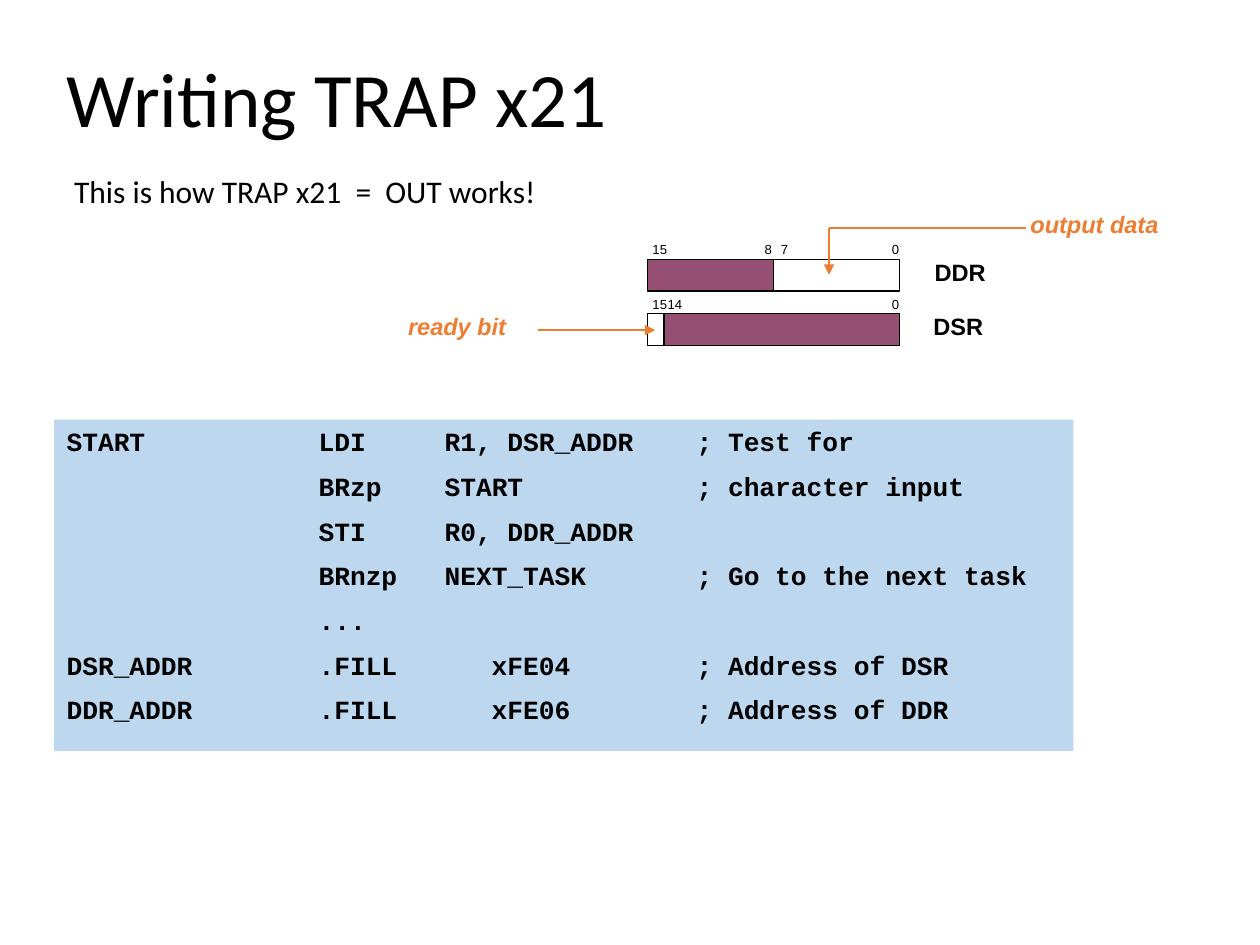
from lxml.etree import SubElement
from pptx import Presentation
from pptx.dml.color import RGBColor
from pptx.enum.shapes import MSO_CONNECTOR, MSO_SHAPE
from pptx.enum.text import MSO_ANCHOR, MSO_AUTO_SIZE, PP_ALIGN
from pptx.oxml.ns import qn
from pptx.util import Inches, Pt

BLACK = RGBColor(0x00, 0x00, 0x00)
WHITE = RGBColor(0xFF, 0xFF, 0xFF)
PURPLE = RGBColor(0x95, 0x4F, 0x72)
ORANGE = RGBColor(0xED, 0x7D, 0x31)
PALE_BLUE = RGBColor(0xBD, 0xD7, 0xEE)

# Register grid
REGISTER_LEFT = 5.14
REGISTER_HEIGHT = 0.25
DDR_TOP = 2.06
DSR_TOP = 2.49

CODE = """START\t\tLDI\tR1, DSR_ADDR\t; Test for
\t\tBRzp\tSTART\t\t; character input
\t\tSTI\tR0, DDR_ADDR
\t\tBRnzp\tNEXT_TASK\t; Go to the next task
\t\t...
DSR_ADDR\t.FILL      xFE04\t; Address of DSR
DDR_ADDR\t.FILL      xFE06\t; Address of DDR"""


def format_text(frame, size, name, color=BLACK, bold=False, italic=False):
    for para in frame.paragraphs:
        para.alignment = PP_ALIGN.LEFT
        for span in para.runs:
            font = span.font
            font.size, font.name = Pt(size), name
            font.bold, font.italic = bold, italic
            font.color.rgb = color


def add_title(page, text):
    title = page.shapes.title
    title.left, title.top = Inches(0.43), Inches(0.27)
    title.width, title.height = Inches(8.62), Inches(1.09)
    frame = title.text_frame
    frame.text = text
    frame.vertical_anchor = MSO_ANCHOR.MIDDLE
    frame.paragraphs[0].line_spacing = 0.9
    format_text(frame, 44, "Calibri")


def add_label(page, text, left, top, width, height, size,
              name="Arial", **style):
    box = page.shapes.add_textbox(
        Inches(left), Inches(top), Inches(width), Inches(height))
    frame = box.text_frame
    frame.text = text
    frame.word_wrap = False
    frame.auto_size = MSO_AUTO_SIZE.SHAPE_TO_FIT_TEXT
    format_text(frame, size, name, **style)


def add_rectangle(page, left, top, width, height, fill, outlined=True):
    box = page.shapes.add_shape(
        MSO_SHAPE.RECTANGLE,
        Inches(left), Inches(top), Inches(width), Inches(height))
    box.shadow.inherit = False
    box.fill.solid()
    box.fill.fore_color.rgb = fill
    if outlined:
        box.line.color.rgb = BLACK
        box.line.width = Pt(0.75)
    else:
        box.line.fill.background()
    return box


def add_register(page, name, name_left, top, fields, bits):
    left = REGISTER_LEFT
    for width, fill in fields:
        add_rectangle(page, left, top, width, REGISTER_HEIGHT, fill)
        left += width
    add_label(page, name, name_left, top - 0.06, 0.62, 0.33, 13.5, bold=True)
    # Bit numbers above the fields
    for bit, bit_left in bits:
        width = 0.32 if len(bit) == 2 else 0.26
        add_label(page, bit, bit_left, top - 0.19, width, 0.23, 7.5)


def add_line(page, start, end, arrow=True):
    line = page.shapes.add_connector(
        MSO_CONNECTOR.STRAIGHT,
        *(Inches(length) for length in (*start, *end)))
    line.line.color.rgb = ORANGE
    line.line.width = Pt(0.75)
    if arrow:
        SubElement(line.line._get_or_add_ln(), qn("a:tailEnd"),
                   type="triangle")
    SubElement(line._element.spPr, qn("a:effectLst"))


def add_tab_stops(para, count):
    stops = SubElement(para._p.get_or_add_pPr(), qn("a:tabLst"))
    for column in range(1, count + 1):
        SubElement(stops, qn("a:tab"), pos=str(Inches(column)), algn="l")


def add_code(page, code):
    box = add_rectangle(page, 0.43, 3.33, 8.09, 2.63, PALE_BLUE,
                        outlined=False)
    frame = box.text_frame
    frame.text = code
    frame.word_wrap = True
    frame.vertical_anchor = MSO_ANCHOR.TOP
    for row, para in enumerate(frame.paragraphs):
        add_tab_stops(para, 7)
        para.space_before = Pt(7.5 if row else 0)
    format_text(frame, 15, "Courier New", bold=True)


def main():
    deck = Presentation()
    deck.slide_width, deck.slide_height = Inches(10), Inches(7.5)
    page = deck.slides.add_slide(deck.slide_layouts[5])

    # Heading and code listing
    add_title(page, "Writing TRAP x21")
    add_code(page, CODE)

    # Display registers
    add_register(page, "DDR", 7.32, DDR_TOP, [(1, PURPLE), (1, WHITE)],
                 [("15", 5.08), ("8", 5.97), ("7", 6.1), ("0", 6.98)])
    add_register(page, "DSR", 7.31, DSR_TOP, [(0.13, WHITE), (1.87, PURPLE)],
                 [("15", 5.08), ("14", 5.2), ("0", 6.98)])

    # Callouts
    callout = {"color": ORANGE, "bold": True, "italic": True}
    add_label(page, "output data", 8.08, 1.62, 1.23, 0.33, 13.5, **callout)
    add_line(page, (8.14, 1.81), (6.58, 1.81), arrow=False)
    add_line(page, (6.58, 1.81), (6.58, 2.18))
    add_label(page, "ready bit", 3.14, 2.43, 0.99, 0.33, 13.5, **callout)
    add_line(page, (4.27, 2.62), (5.2, 2.62))

    # Introduction
    add_label(page, "This is how TRAP x21  =  OUT works!",
              0.49, 1.32, 3.9, 0.4, 18, "Calibri")

    deck.save("out.pptx")


if __name__ == "__main__":
    main()
